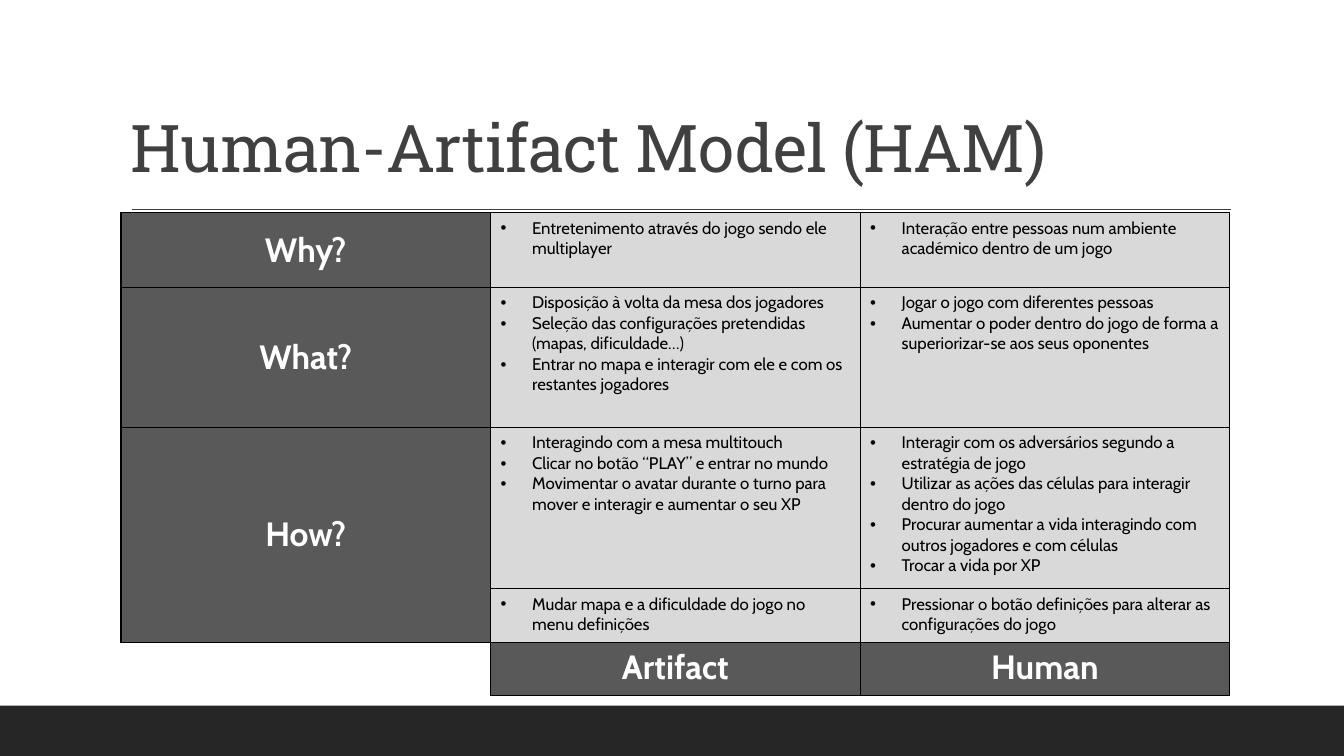
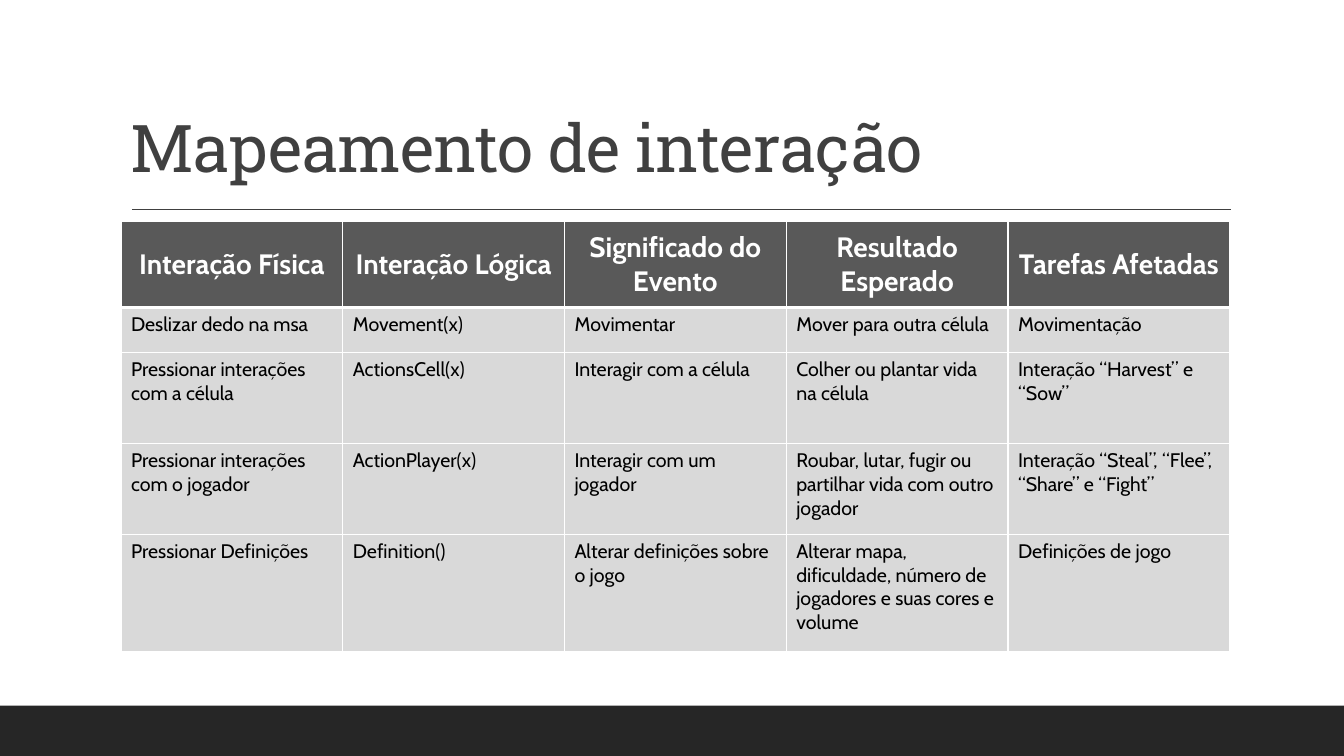
"""Builds two slides of tables on the interaction model of a multitouch game."""
from dataclasses import dataclass

import lxml.etree
import pptx
import pptx.dml.color
import pptx.enum.shapes
import pptx.enum.text
import pptx.oxml.ns
import pptx.util

Pt = pptx.util.Pt
qn = pptx.oxml.ns.qn
MIDDLE = pptx.enum.text.MSO_ANCHOR.MIDDLE
TOP = pptx.enum.text.MSO_ANCHOR.TOP


@dataclass(frozen=True)
class Theme:
    """Colours, fonts, type sizes and the shared frame."""
    band: str = "262626"
    ink: str = "404040"
    heading_fill: str = "595959"
    body_fill: str = "D9D9D9"
    white: str = "FFFFFF"
    black: str = "000000"
    title_font: str = "Roboto Slab"
    body_font: str = "Cabin"
    title_size: int = 47
    axis_size: int = 24
    header_size: int = 20
    model_size: int = 12
    mapping_size: int = 14
    width: float = 960
    height: float = 540
    left: float = 86.4
    content_width: float = 792
    band_height: float = 36
    indent: float = 22.5


THEME = Theme()

WHY_TO_HOW = [
    ("Why?",
     ["Entretenimento através do jogo sendo ele multiplayer"],
     ["Interação entre pessoas num ambiente académico dentro de um jogo"]),
    ("What?",
     ["Disposição à volta da mesa dos jogadores",
      "Seleção das configurações pretendidas (mapas, dificuldade…)",
      "Entrar no mapa e interagir com ele e com os restantes jogadores"],
     ["Jogar o jogo com diferentes pessoas",
      "Aumentar o poder dentro do jogo de forma a superiorizar-se aos seus oponentes"]),
    ("How?",
     ["Interagindo com a mesa multitouch",
      "Clicar no botão “PLAY” e entrar no mundo",
      "Movimentar o avatar durante o turno para mover e interagir e aumentar o seu XP"],
     ["Interagir com os adversários segundo a estratégia de jogo",
      "Utilizar as ações das células para interagir dentro do jogo",
      "Procurar aumentar a vida interagindo com outros jogadores e com células",
      "Trocar a vida por XP"]),
    ("",
     ["Mudar mapa e a dificuldade do jogo no menu definições"],
     ["Pressionar o botão definições para alterar as configurações do jogo"]),
]
MODEL_SIDES = ["Artifact", "Human"]

MAPPING_HEADINGS = ["Interação Física", "Interação Lógica", "Significado do Evento",
                    "Resultado Esperado", "Tarefas Afetadas"]
MAPPINGS = [
    ["Deslizar dedo na msa", "Movement(x)", "Movimentar",
     "Mover para outra célula", "Movimentação"],
    ["Pressionar interações com a célula", "ActionsCell(x)", "Interagir com a célula",
     "Colher ou plantar vida na célula", "Interação “Harvest” e “Sow”"],
    ["Pressionar interações com o jogador", "ActionPlayer(x)", "Interagir com um jogador",
     "Roubar, lutar, fugir ou partilhar vida com outro jogador",
     "Interação “Steal”, “Flee”, “Share” e “Fight”"],
    ["Pressionar Definições", "Definition()", "Alterar definições sobre o jogo",
     "Alterar mapa, dificuldade, número de jogadores e suas cores e volume",
     "Definições de jogo"],
]


def rgb(value):
    """Turn a hex string into a colour."""
    return pptx.dml.color.RGBColor.from_string(value)


def style_font(paragraph, name, size, color, bold=False):
    """Set the font of a whole paragraph."""
    font = paragraph.font
    font.name, font.size, font.bold = name, Pt(size), bold
    font.color.rgb = rgb(color)


def add_bullet(paragraph):
    """Give a paragraph a hanging bullet."""
    properties = paragraph._p.get_or_add_pPr()
    properties.set("marL", str(Pt(THEME.indent)))
    properties.set("indent", str(-Pt(THEME.indent)))
    lxml.etree.SubElement(properties, qn("a:buFont"), typeface="Arial")
    lxml.etree.SubElement(properties, qn("a:buChar"), char="•")


def set_borders(cell, color, **widths):
    """Draw the cell sides named L, R, T and B; a width of 0 hides one."""
    properties = cell._tc.get_or_add_tcPr()
    for side in "LRTB":
        width = widths.get(side, 1)
        line = lxml.etree.SubElement(properties, qn(f"a:ln{side}"), w=str(Pt(width)))
        if width:
            fill = lxml.etree.SubElement(line, qn("a:solidFill"))
            lxml.etree.SubElement(fill, qn("a:srgbClr"), val=color)
        else:
            lxml.etree.SubElement(line, qn("a:noFill"))


def fill_cell(cell, color):
    """Fill a cell with one colour."""
    cell.fill.solid()
    cell.fill.fore_color.rgb = rgb(color)


def write_heading(cell, text, size, anchor=MIDDLE):
    """Write a bold centred heading on a dark cell."""
    fill_cell(cell, THEME.heading_fill)
    cell.vertical_anchor = anchor
    cell.text = text
    heading = cell.text_frame.paragraphs[0]
    heading.alignment = pptx.enum.text.PP_ALIGN.CENTER
    style_font(heading, THEME.body_font, size, THEME.white, True)


def write_body(cell, lines, size, bulleted=False):
    """Write plain or bulleted paragraphs on a light cell."""
    fill_cell(cell, THEME.body_fill)
    cell.text = "\n".join(lines)
    for paragraph in cell.text_frame.paragraphs:
        if bulleted:
            add_bullet(paragraph)
        style_font(paragraph, THEME.body_font, size, THEME.black)


def add_grid(slide, top, heights, columns):
    """Add an unstyled table with equal columns."""
    frame = slide.shapes.add_table(len(heights), columns, Pt(THEME.left), Pt(top),
                                   Pt(THEME.content_width), Pt(sum(heights)))
    grid = frame.table
    grid.first_row = grid.horz_banding = False
    for column in grid.columns:
        column.width = Pt(THEME.content_width / columns)
    for row, height in zip(grid.rows, heights):
        row.height = Pt(height)
    return grid


def add_titled_slide(deck, text):
    """Add a slide with the bottom band, the rule and its title."""
    slide = deck.slides.add_slide(deck.slide_layouts[6])
    band = slide.shapes.add_shape(
        pptx.enum.shapes.MSO_SHAPE.RECTANGLE, 0, Pt(THEME.height - THEME.band_height),
        Pt(THEME.width), Pt(THEME.band_height))
    band.shadow.inherit = False
    band.fill.solid()
    band.fill.fore_color.rgb = rgb(THEME.band)
    band.line.fill.background()

    rule = slide.shapes.add_connector(pptx.enum.shapes.MSO_CONNECTOR.STRAIGHT,
                                      Pt(94.3), Pt(149.8), Pt(879), Pt(149.8))
    rule.line.color.rgb = rgb(THEME.ink)
    rule.line.width = Pt(1)
    lxml.etree.SubElement(rule._element.spPr, qn("a:effectLst"))

    frame = slide.shapes.add_textbox(Pt(THEME.left), Pt(22.3), Pt(THEME.content_width),
                                     Pt(114.5)).text_frame
    frame.word_wrap = True
    frame.vertical_anchor = pptx.enum.text.MSO_ANCHOR.BOTTOM
    frame.text = text
    title = frame.paragraphs[0]
    title.line_spacing = 0.9
    style_font(title, THEME.title_font, THEME.title_size, THEME.ink)
    title.font._rPr.set("spc", "-50")
    return slide


def add_model(slide):
    """Add the Human-Artifact table with its headings at left and bottom."""
    grid = add_grid(slide, 152, [53.4, 100, 115.2, 38.2, 38.2], 3)
    last = len(WHY_TO_HOW)
    for row in range(last + 1):
        for column in range(3):
            hidden = {"L": 0, "B": 0} if (row, column) == (last, 0) else {}
            set_borders(grid.cell(row, column), THEME.black, **hidden)
    for row, (question, *sides) in enumerate(WHY_TO_HOW):
        write_heading(grid.cell(row, 0), question, THEME.axis_size)
        for column, lines in enumerate(sides, 1):
            write_body(grid.cell(row, column), lines, THEME.model_size, bulleted=True)
    grid.cell(last - 2, 0).merge(grid.cell(last - 1, 0))
    fill_cell(grid.cell(last, 0), THEME.white)
    for column, side in enumerate(MODEL_SIDES, 1):
        write_heading(grid.cell(last, column), side, THEME.axis_size, TOP)


def add_mapping(slide):
    """Add the table that maps interactions to events and tasks."""
    grid = add_grid(slide, 157.8, [61.8, 32.4, 64.8, 64.8, 83.6], len(MAPPING_HEADINGS))
    for column, heading in enumerate(MAPPING_HEADINGS):
        set_borders(grid.cell(0, column), THEME.white, B=3)
        write_heading(grid.cell(0, column), heading, THEME.header_size)
    for row, texts in enumerate(MAPPINGS, 1):
        for column, text in enumerate(texts):
            set_borders(grid.cell(row, column), THEME.white)
            write_body(grid.cell(row, column), [text], THEME.mapping_size)


def main():
    """Build and save the deck."""
    deck = pptx.Presentation()
    deck.slide_width, deck.slide_height = Pt(THEME.width), Pt(THEME.height)
    add_model(add_titled_slide(deck, "Human-Artifact Model (HAM)"))
    add_mapping(add_titled_slide(deck, "Mapeamento de interação"))
    deck.save("out.pptx")


if __name__ == "__main__":
    main()
